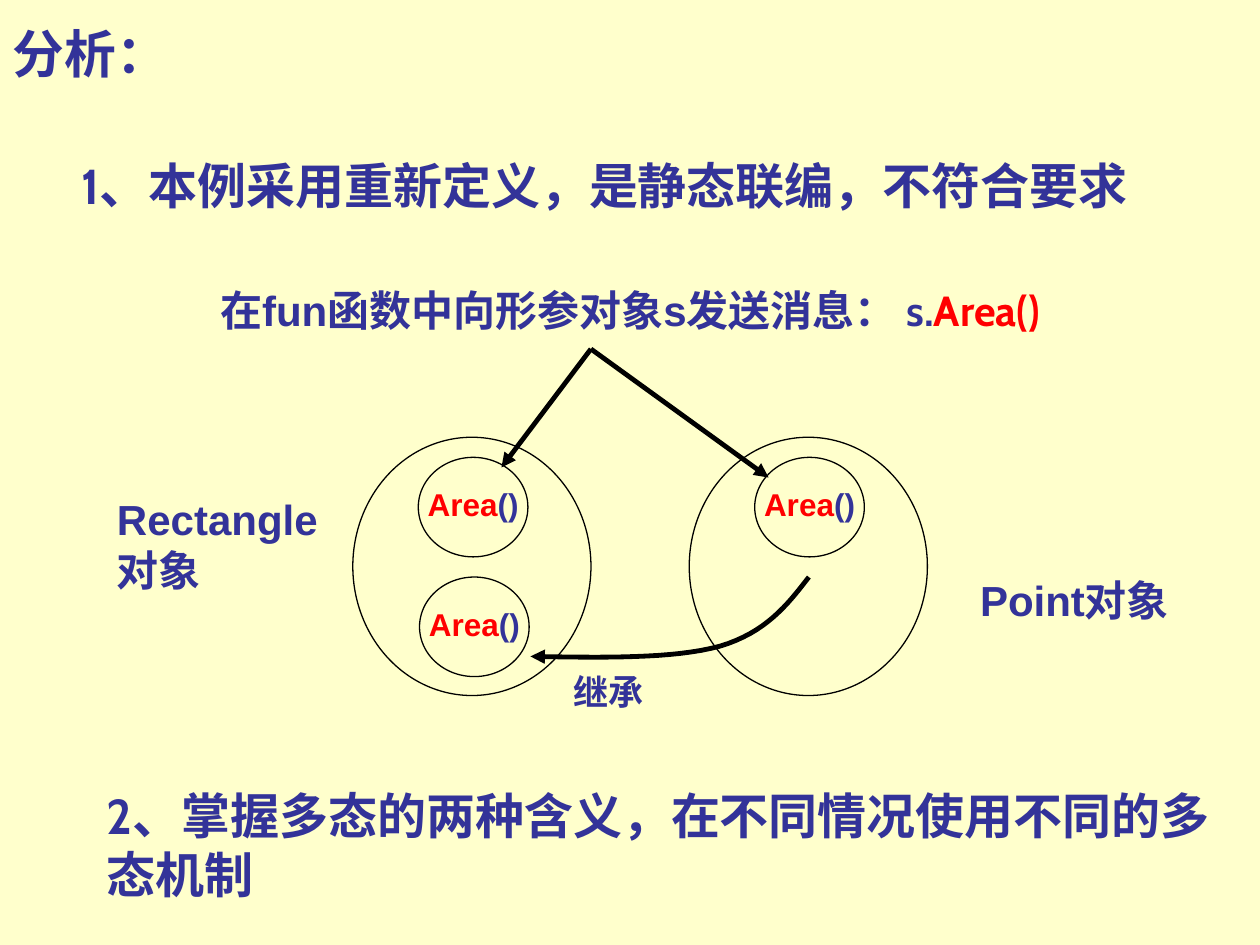
import pptx
import pptx.util
import pptx.dml.color
import pptx.enum.shapes
import pptx.enum.text
import pptx.oxml
import pptx.oxml.ns

Inches = pptx.util.Inches
Align = pptx.enum.text.PP_ALIGN
Anchor = pptx.enum.text.MSO_ANCHOR
AutoSize = pptx.enum.text.MSO_AUTO_SIZE
NAVY, RED, BLACK, CREAM = "333399", "FF0000", "000000", "FFFFCC"


def color(value):
    return pptx.dml.color.RGBColor.from_string(value)


def add_arrowhead(shape):
    line = shape.line._get_or_add_ln()
    tail = pptx.oxml.parse_xml(
        f'<a:tailEnd {pptx.oxml.ns.nsdecls("a")} type="triangle"/>')
    line.append(tail)


presentation = pptx.Presentation()
presentation.slide_width = Inches(10)
presentation.slide_height = Inches(7.5)
slide = presentation.slides.add_slide(presentation.slide_layouts[6])
slide.background.fill.solid()
slide.background.fill.fore_color.rgb = color(CREAM)

large_circle, small_circle = (1.89, 2.05), (0.87, 0.79)
methods = [(5.99, 3.63), (3.32, 3.63), (3.33, 4.58)]
circles = [((left, 3.47), large_circle) for left in (5.47, 2.8)]
circles += [(corner, small_circle) for corner in methods]
for (left, top), (width, height) in circles:
    shape = slide.shapes.add_shape(
        pptx.enum.shapes.MSO_SHAPE.OVAL,
        Inches(left), Inches(top), Inches(width), Inches(height))
    shape.shadow.inherit = False
    shape.fill.background()
    shape.line.color.rgb = color(BLACK)
    shape.line.width = pptx.util.Pt(0.75)

message_source = (4.69, 2.77)
for target in [(3.98, 3.71), (6.1, 3.79)]:
    connector = slide.shapes.add_connector(
        pptx.enum.shapes.MSO_CONNECTOR.STRAIGHT,
        *[Inches(value) for value in message_source + target])
    connector.line.color.rgb = color(BLACK)
    connector.line.width = pptx.util.Pt(2.75)
    add_arrowhead(connector)
    properties = connector._element.spPr
    properties.append(properties.makeelement(pptx.oxml.ns.qn("a:effectLst"), {}))

inheritance_curve = [
    [(6.42, 4.58), (6.25, 4.8), (6.08, 5.02), (5.71, 5.13)],
    [(5.71, 5.13), (5.34, 5.23), (4.78, 5.22), (4.21, 5.21)],
]
steps = 16
curve_points = []
for segment in inheritance_curve:
    for step in range(1, steps + 1):
        t = step / steps
        weights = [(1 - t) ** 3, 3 * t * (1 - t) ** 2, 3 * t ** 2 * (1 - t), t ** 3]
        curve_points.append(tuple(
            Inches(sum(weight * point[axis] for weight, point in zip(weights, segment)))
            for axis in (0, 1)))
start_x, start_y = inheritance_curve[0][0]
builder = slide.shapes.build_freeform(Inches(start_x), Inches(start_y))
builder.add_line_segments(curve_points, close=False)
curve = builder.convert_to_shape()
curve.shadow.inherit = False
curve.fill.background()
curve.line.color.rgb = color(BLACK)
curve.line.width = pptx.util.Pt(2.75)
add_arrowhead(curve)

heading_frame = {"word_wrap": True, "vertical_anchor": Anchor.BOTTOM}
label_frame = {"word_wrap": True, "auto_size": AutoSize.SHAPE_TO_FIT_TEXT}
method_frame = {"word_wrap": False, "auto_size": AutoSize.SHAPE_TO_FIT_TEXT}
left_aligned, centered = {"alignment": Align.LEFT}, {"alignment": Align.CENTER}
title_paragraph = {"alignment": Align.LEFT, "line_spacing": 0.9}

texts = [
    ((0, 0.09, 9.68, 0.63), 29.6, heading_frame, title_paragraph,
     [("分析：", "Cabin", NAVY)]),
    ((0.55, 0.88, 8.98, 0.87), 28, heading_frame, left_aligned,
     [("1、本例采用重新定义，是静态联编，不符合要求", "Cabin", NAVY)]),
    ((0.75, 5.72, 8.98, 1.5), 28, heading_frame, left_aligned,
     [("2、掌握多态的两种含义，在不同情况使用不同的多态机制", "Cabin", NAVY)]),
    ((0.83, 3.87, 1.89, 0.9), 24, label_frame, left_aligned,
     [("Rectangle对象", "Arial", NAVY)]),
    ((7.68, 4.51, 1.77, 0.9), 24, label_frame, left_aligned,
     [("Point对象", "Arial", NAVY)]),
    ((1.1, 2.21, 7.8, 0.5), 24, label_frame, centered,
     [("在fun函数中向形参对象s发送消息： ", "Arial", NAVY),
      ("s.", "Cabin", NAVY), ("Area()", "Cabin", RED)]),
    ((4.45, 5.27, 1.18, 0.44), 20, label_frame, left_aligned,
     [("继承", "Arial", NAVY)]),
]
for left, top in methods:
    texts.append(((left - 0.04, top + 0.17, 0.95, 0.4), 18, method_frame, centered,
                  [("Area", "Arial", RED), ("()", "Arial", NAVY)]))

for box, size, frame_format, paragraph_format, runs in texts:
    text_frame = slide.shapes.add_textbox(*[Inches(value) for value in box]).text_frame
    paragraph = text_frame.paragraphs[0]
    for target, settings in [(text_frame, frame_format), (paragraph, paragraph_format)]:
        for name, value in settings.items():
            setattr(target, name, value)
    for text, font_name, font_color in runs:
        run = paragraph.add_run()
        run.text = text
        font_format = {"name": font_name, "size": pptx.util.Pt(size), "bold": True}
        for name, value in font_format.items():
            setattr(run.font, name, value)
        run.font.color.rgb = color(font_color)

presentation.save("out.pptx")
